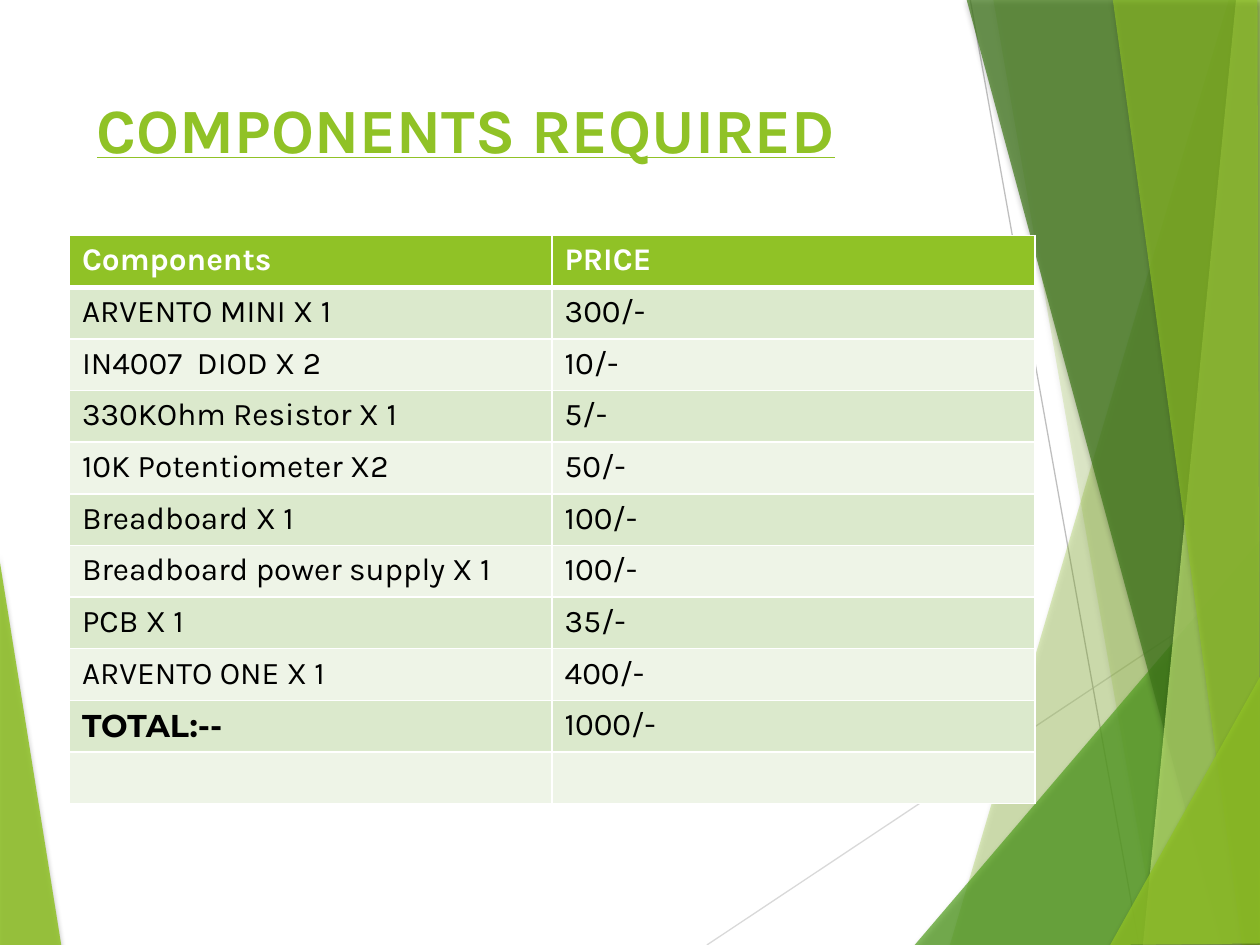
"""Build the slide that lists the required components and their prices."""
from dataclasses import dataclass

from lxml import etree
from pptx import Presentation
from pptx import util as u
from pptx.dml import color
from pptx.enum import shapes, text
from pptx.oxml import ns

COLORS = {
    "lime": "90C226", "green": "54A021", "forest": "3F7819", "pale": "C0E474",
    "band": "DBE9CC", "light": "EEF4E7", "white": "FFFFFF", "black": "000000",
    "grey": "D9D9D9", "silver": "BFBFBF",
}


@dataclass(frozen=True)
class Facet:
    points: tuple
    color: str
    opacity: int


@dataclass(frozen=True)
class Ray:
    start: tuple
    end: tuple
    color: str


RAYS = [
    Ray((14.25, 19.05), (25.43, 11.61), "grey"),
    Ray((19.56, 0), (22.96, 19.05), "silver"),
]
FACETS = [
    Facet(((-0.03, 11.15), (1.24, 19.08), (-0.03, 19.05)), "lime", 85),
    Facet(((24.77, 0), (19.15, 19.05), (25.45, 19.08), (25.43, 0.03)), "lime", 30),
    Facet(((20.02, -0.03), (23.34, 19.05), (25.43, 19.05), (25.43, -0.03)), "lime", 20),
    Facet(((18.44, 19.05), (25.4, 10.9), (25.43, 19.05)), "green", 72),
    Facet(((19.48, -0.03), (24.64, 19.05), (25.43, 19.02), (25.43, -0.03)), "forest", 70),
    Facet(((24.92, -0.03), (23.04, 19.05), (25.43, 19.05), (25.4, -0.03)), "pale", 70),
    Facet(((22.43, -0.03), (25.04, 19.05), (25.4, 19.05), (25.35, -0.03)), "lime", 65),
    Facet(((22.38, 19.05), (25.43, 13.59), (25.43, 19.02)), "lime", 80),
]
ROWS = [
    ("Components", "PRICE"),
    ("ARVENTO MINI X 1", "300/-"),
    ("IN4007  DIOD X 2", "10/-"),
    ("330KOhm Resistor X 1", "5/-"),
    ("10K Potentiometer X2", "50/-"),
    ("Breadboard X 1", "100/-"),
    ("Breadboard power supply X 1", "100/-"),
    ("PCB X 1", "35/-"),
    ("ARVENTO ONE X 1", "400/-"),
    ("TOTAL:--", "1000/-"),
    ("", ""),
]
TITLE_FORMAT = {"name": "Karla", "size": u.Pt(36), "bold": True, "underline": True}
HEAD_FORMAT = {"name": "Karla", "size": u.Pt(18), "bold": True}
BODY_FORMAT = {**HEAD_FORMAT, "bold": False}
TOTAL_FORMAT = {**HEAD_FORMAT, "name": "Montserrat"}


def rgb(name: str) -> color.RGBColor:
    return color.RGBColor.from_string(COLORS[name])


def child(parent, tag: str, **attributes):
    return etree.SubElement(parent, ns.qn(tag), {k: str(v) for k, v in attributes.items()})


def write(para, words: str, formats: dict, ink: str) -> None:
    span = para.add_run()
    span.text = words
    for key, value in formats.items():
        setattr(span.font, key, value)
    span.font.color.rgb = rgb(ink)


def draw_ray(page, ray: Ray) -> None:
    ends = [u.Cm(value) for value in ray.start + ray.end]
    line = page.shapes.add_connector(shapes.MSO_CONNECTOR.STRAIGHT, *ends)
    line.line.color.rgb = rgb(ray.color)
    line.line.width = u.Pt(0.75)
    child(line._element.spPr, "a:effectLst")


def draw_facet(page, facet: Facet) -> None:
    first, *rest = [(round(x * 100), round(y * 100)) for x, y in facet.points]
    outline = page.shapes.build_freeform(*first, scale=u.Cm(0.01))
    outline.add_line_segments(rest, close=True)
    shape = outline.convert_to_shape()
    shape.fill.solid()
    shape.fill.fore_color.rgb = rgb(facet.color)
    shape.line.fill.background()
    shape.shadow.inherit = False
    properties = shape._element.spPr
    fill = properties.find(ns.qn("a:solidFill")).find(ns.qn("a:srgbClr"))
    child(fill, "a:alpha", val=facet.opacity * 1000)
    shadow = child(properties.find(ns.qn("a:effectLst")), "a:outerShdw",
                   blurRad=u.Pt(3), dist=u.Pt(2), dir=90 * 60000, rotWithShape=0)
    tint = child(shadow, "a:srgbClr", val=COLORS["black"])
    child(tint, "a:alpha", val=35000)


def style_cell(cell, fill: str, top: float, bottom: float) -> None:
    properties = cell._tc.get_or_add_tcPr()
    for side, width in {"L": 0.96, "R": 0.96, "T": top, "B": bottom}.items():
        border = child(properties, f"a:ln{side}", w=u.Pt(width))
        child(child(border, "a:solidFill"), "a:srgbClr", val=COLORS["white"])
    cell.fill.solid()
    cell.fill.fore_color.rgb = rgb(fill)


def draw_table(page) -> None:
    box = page.shapes.add_table(len(ROWS), 2, u.Cm(1.4), u.Cm(4.75),
                                u.Cm(19.46), u.Cm(11.46))
    for index, row in enumerate(ROWS):
        header = index == 0
        fill = "lime" if header else ("light", "band")[index % 2]
        for column, words in enumerate(row):
            cell = box.table.cell(index, column)
            style_cell(cell, fill, 3 if index == 1 else 0.96, 3 if header else 0.96)
            formats = HEAD_FORMAT if header else BODY_FORMAT
            if words.startswith("TOTAL"):
                formats = TOTAL_FORMAT
            if words:
                write(cell.text_frame.paragraphs[0], words, formats,
                      "white" if header else "black")


def draw_title(page) -> None:
    box = page.shapes.title
    places = {"left": 1.7, "top": 1.7, "width": 17.63, "height": 3.66}
    for key, value in places.items():
        setattr(box, key, u.Cm(value))
    box.text_frame.vertical_anchor = text.MSO_ANCHOR.TOP
    para = box.text_frame.paragraphs[0]
    para.alignment = text.PP_ALIGN.LEFT
    write(para, "COMPONENTS REQUIRED", TITLE_FORMAT, "lime")


def main() -> None:
    deck = Presentation()
    deck.slide_width, deck.slide_height = u.Cm(25.4), u.Cm(19.05)
    page = deck.slides.add_slide(deck.slide_layouts[5])
    for ray in RAYS:
        draw_ray(page, ray)
    for facet in FACETS:
        draw_facet(page, facet)
    draw_title(page)
    draw_table(page)
    deck.save("out.pptx")


main()
